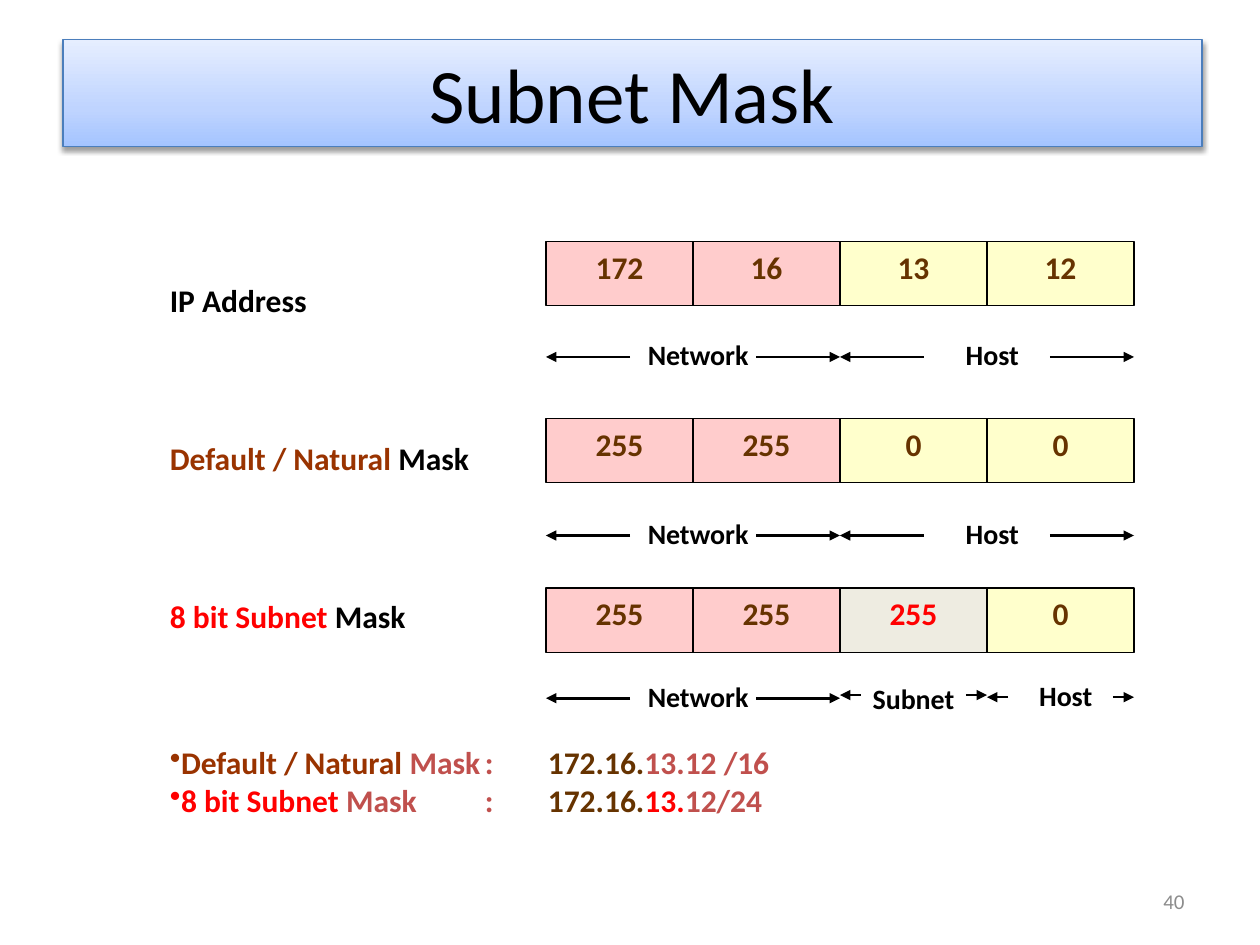
from lxml.etree import SubElement
from pptx import Presentation
from pptx.dml.color import RGBColor
from pptx.enum.shapes import MSO_CONNECTOR, MSO_SHAPE
from pptx.enum.text import MSO_ANCHOR, PP_ALIGN
from pptx.oxml.ns import qn
from pptx.util import Inches, Pt

GRID_COLS, GRID_ROWS = 60, 45
LEFT, CELL_W, CELL_H = 26, 7, 3.06
LABEL_W, LABEL_H = 6.5, 2.2
BLACK, BROWN, RUST, RED, BRICK = "000000", "663300", "993300", "FF0000", "C0504D"
PINK, YELLOW, GREY = "FFCCCC", "FFFFCC", "EEECE1"


def rgb(value):
    return RGBColor.from_string(value)


class Deck:
    font = "Calibri"

    def __init__(self):
        self.prs = Presentation()
        self.prs.slide_width, self.prs.slide_height = Inches(10), Inches(7.5)
        self.s = self.prs.slides.add_slide(self.prs.slide_layouts[5])

    def col(self, n):
        return round(self.prs.slide_width * n / GRID_COLS)

    def row(self, n):
        return round(self.prs.slide_height * n / GRID_ROWS)

    def box(self, x, y, w, h):
        return self.col(x), self.row(y), self.col(w), self.row(h)

    def add_runs(self, p, runs, size, bold=True, align=PP_ALIGN.LEFT):
        p.alignment = align
        for text, color in runs:
            r = p.add_run()
            r.text = text
            r.font.name, r.font.size, r.font.bold = self.font, Pt(size), bold
            r.font.color.rgb = rgb(color)

    def title(self, text, x, y, w, h):
        sp = self.s.shapes.title
        sp.left, sp.top, sp.width, sp.height = self.box(x, y, w, h)
        sp.fill.gradient()
        sp.fill.gradient_angle = 90
        stops = sp._element.spPr.find(qn("a:gradFill")).find(qn("a:gsLst"))
        for stop in list(stops):
            stops.remove(stop)
        for pos, color in ((0, "A4C4FF"), (35, "BFD4FF"), (100, "E6EEFF")):
            stop = SubElement(stops, qn("a:gs"), pos=str(pos * 1000))
            SubElement(stop, qn("a:srgbClr"), val=color)
        sp.line.color.rgb, sp.line.width = rgb("4B7EBC"), Pt(0.75)
        sp.shadow.inherit = False
        effects = sp._element.spPr.find(qn("a:effectLst"))
        shadow = SubElement(effects, qn("a:outerShdw"), blurRad=str(int(Pt(3.1))),
                            dist=str(int(Pt(1.6))), dir="5400000", rotWithShape="0")
        color = SubElement(shadow, qn("a:srgbClr"), val=BLACK)
        SubElement(color, qn("a:alpha"), val="38000")
        sp.text_frame.vertical_anchor = MSO_ANCHOR.MIDDLE
        self.add_runs(sp.text_frame.paragraphs[0], [(text, BLACK)], 44, False, PP_ALIGN.CENTER)

    def text(self, runs, x, y, w, h, size=18, **style):
        tf = self.s.shapes.add_textbox(*self.box(x, y, w, h)).text_frame
        tf.word_wrap = True
        self.add_runs(tf.paragraphs[0], runs, size, **style)
        return tf

    def bullets(self, lines, x, y, w, h):
        tf = self.text([], x, y, w, h)
        for i, runs in enumerate(lines):
            p = tf.add_paragraph() if i else tf.paragraphs[0]
            SubElement(p._p.get_or_add_pPr(), qn("a:buChar"), char="•")
            self.add_runs(p, runs, 18)

    def cell(self, text, fill, color, x, y):
        sp = self.s.shapes.add_shape(MSO_SHAPE.RECTANGLE, *self.box(x, y, CELL_W, CELL_H))
        sp.shadow.inherit = False
        sp.fill.solid()
        sp.fill.fore_color.rgb = rgb(fill)
        sp.line.color.rgb, sp.line.width = rgb(BLACK), Pt(0.75)
        tf = sp.text_frame
        tf.word_wrap, tf.vertical_anchor = True, MSO_ANCHOR.TOP
        self.add_runs(tf.paragraphs[0], [(text, color)], 18, align=PP_ALIGN.CENTER)

    def arrow(self, tail_x, tip_x, y):
        cx = self.s.shapes.add_connector(MSO_CONNECTOR.STRAIGHT, self.col(tail_x), self.row(y),
                                         self.col(tip_x), self.row(y))
        cx.line.color.rgb, cx.line.width = rgb(BLACK), Pt(1.5)
        SubElement(cx.get_or_add_ln(), qn("a:tailEnd"), type="triangle")
        SubElement(cx._element.spPr, qn("a:effectLst"))

    def span(self, name, first, count, y, dx=0.25, dy=-1.2):
        start, width = LEFT + first * CELL_W, count * CELL_W
        end = start + width
        length = 4 if count == 2 else 1
        self.text([(name, BLACK)], start + (width - LABEL_W) / 2 + dx, y + dy,
                  LABEL_W, LABEL_H, 16, align=PP_ALIGN.CENTER)
        self.arrow(start + length, start, y)
        self.arrow(end - length, end, y)

    def address(self, label, label_y, values, fills, y, spans):
        self.text(label, 7.5, label_y, 18, 2.4)
        for i, (value, fill) in enumerate(zip(values, fills)):
            self.cell(value, fill, RED if fill == GREY else BROWN, LEFT + i * CELL_W, y)
        for span in spans:
            self.span(*span)


def main():
    deck = Deck()
    deck.title("Subnet Mask", 3, 1.88, 54.24, 5.1)
    natural = [PINK, PINK, YELLOW, YELLOW]
    deck.address([("IP Address", BLACK)], 13.1, ["172", "16", "13", "12"], natural, 11.5,
                 [("Network", 0, 2, 17), ("Host", 2, 2, 17)])
    deck.address([("Default / Natural", RUST), (" Mask", BLACK)], 20.6,
                 ["255", "255", "0", "0"], natural, 19.92,
                 [("Network", 0, 2, 25.5), ("Host", 2, 2, 25.5)])
    deck.address([("8 bit Subnet", RED), (" Mask", BLACK)], 28.15,
                 ["255", "255", "255", "0"], [PINK, PINK, GREY, YELLOW], 28,
                 [("Network", 0, 2, 33.25), ("Subnet", 2, 1, 33.1, 0, -0.95),
                  ("Host", 3, 1, 33.2)])
    deck.bullets([
        [("Default / Natural ", RUST), ("Mask\t:\t", BRICK), ("172.16.", BROWN),
         ("13.12 /16", BRICK)],
        [("8 bit Subnet ", RED), ("Mask\t\t:\t", BRICK), ("172.16.", BROWN),
         ("13.", RED), ("12/24", BRICK)],
    ], 7.5, 35.1, 48, 5.4)
    number = deck.text([("40", "8C8C8C")], 43, 41.7, 14, 2.4, 12,
                       bold=False, align=PP_ALIGN.RIGHT)
    number.vertical_anchor = MSO_ANCHOR.MIDDLE
    deck.prs.save("out.pptx")


if __name__ == "__main__":
    main()
